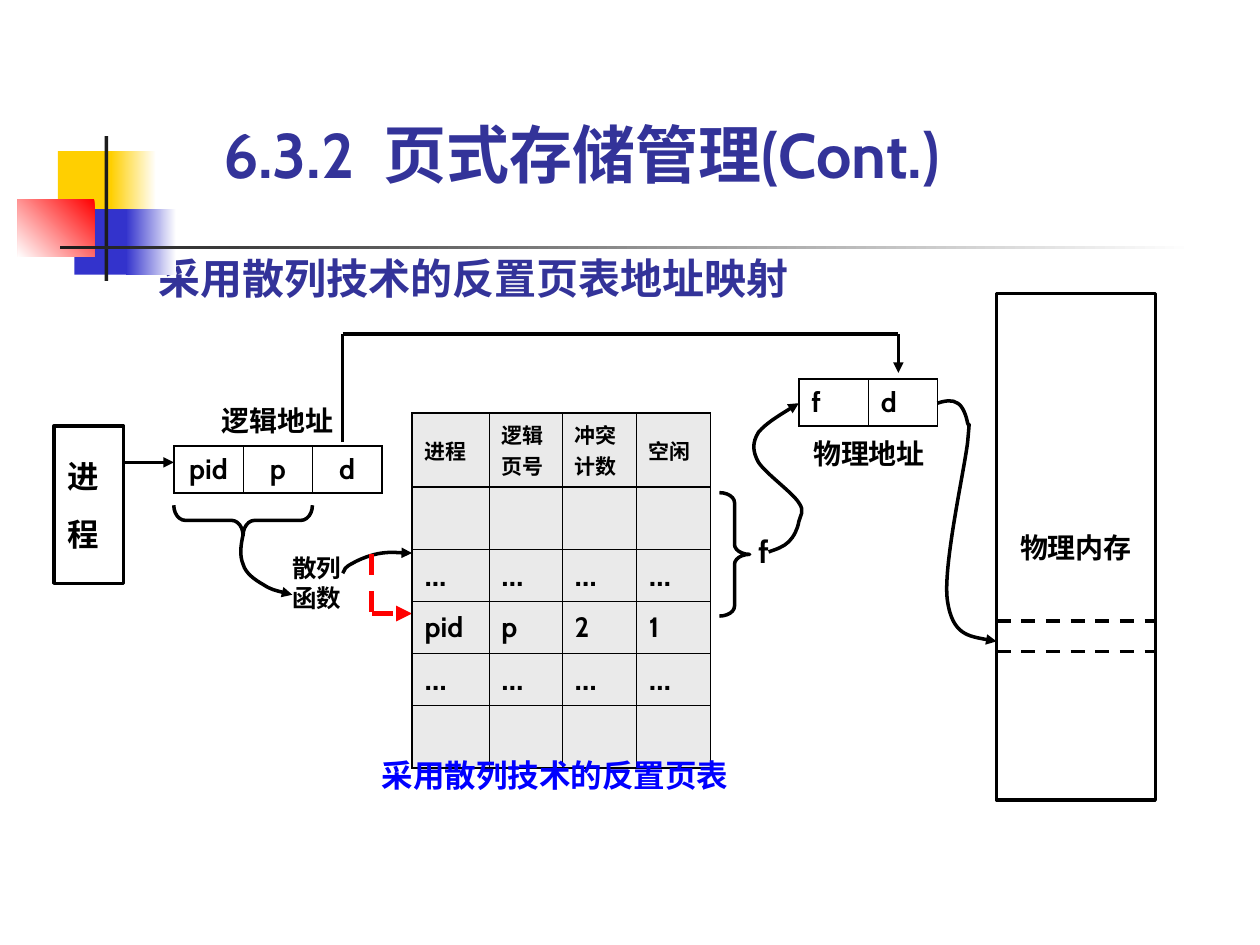
from lxml import etree
from pptx import Presentation
from pptx import util as u
from pptx.dml.color import RGBColor
from pptx.enum import dml, shapes, text
from pptx.oxml.ns import qn

FONT = "Cabin"
BLACK, NAVY, WHITE = "000000", "333399", "FFFFFF"
THICK, THIN = 1.08, 0.45
PADDED = (0.1, 0.05, 0.1, 0.05)
LEFT, CENTER, RIGHT = text.PP_ALIGN.LEFT, text.PP_ALIGN.CENTER, text.PP_ALIGN.RIGHT
TOP, MIDDLE, BOTTOM = text.MSO_ANCHOR.TOP, text.MSO_ANCHOR.MIDDLE, text.MSO_ANCHOR.BOTTOM
NO_STYLE = "{2D5ABB26-0587-4C30-8999-92F81FD0307C}"


def color(hex_value):
    """Turn a hex string into a colour."""
    return RGBColor.from_string(hex_value)


def inches(*values):
    """Turn numbers into lengths."""
    return [u.Inches(value) for value in values]


def write(frame, words, size=16, fill=BLACK, align=LEFT, before=0, spacing=None,
          anchor=TOP, insets=(0, 0, 0, 0), wrap=True):
    """Write one paragraph for each line of words."""
    frame.text = words
    frame.word_wrap = wrap
    frame.auto_size = text.MSO_AUTO_SIZE.NONE
    frame.vertical_anchor = anchor
    (frame.margin_left, frame.margin_top,
     frame.margin_right, frame.margin_bottom) = inches(*insets)
    for paragraph in frame.paragraphs:
        paragraph.alignment = align
        paragraph.space_before = u.Pt(before)
        if spacing:
            paragraph.line_spacing = spacing
        font = paragraph.runs[0].font
        font.name, font.size, font.bold = FONT, u.Pt(size), True
        font.color.rgb = color(fill)


def label(slide, box, words, **style):
    """Add a text box."""
    write(slide.shapes.add_textbox(*inches(*box)).text_frame, words, **style)


def stroke(shape, ink=BLACK, width=2, dashed=False, arrow=False):
    """Format an outline or a line."""
    shape.line.color.rgb = color(ink)
    shape.line.width = u.Pt(width)
    if dashed:
        shape.line.dash_style = dml.MSO_LINE.DASH
    if arrow:
        outline = shape.element.spPr.find(qn("a:ln"))
        etree.SubElement(outline, qn("a:tailEnd"), type="triangle")


def line(slide, start, end, **style):
    """Add a straight line."""
    connector = slide.shapes.add_connector(
        shapes.MSO_CONNECTOR.STRAIGHT, *inches(*start, *end))
    stroke(connector, **style)
    etree.SubElement(connector.element.spPr, qn("a:effectLst"))


def curve(slide, x, y, points):
    """Add an arrow of cubic curves, with points measured from x, y."""
    start, *rest = [inches(x + dx, y + dy) for dx, dy in points]
    builder = slide.shapes.build_freeform(*start, scale=1.0)
    builder.add_line_segments(rest, close=False)
    arrow = builder.convert_to_shape()
    segments = list(arrow.element.iter(qn("a:lnTo")))
    for first in range(0, len(segments), 3):
        bend = etree.Element(qn("a:cubicBezTo"))
        segments[first].addprevious(bend)
        for segment in segments[first:first + 3]:
            bend.append(segment[0])
            segment.getparent().remove(segment)
    arrow.fill.background()
    arrow.shadow.inherit = False
    stroke(arrow, arrow=True)


def outline(slide, box, preset=shapes.MSO_SHAPE.RECTANGLE):
    """Add an unfilled black outline."""
    shape = slide.shapes.add_shape(preset, *inches(*box))
    shape.fill.background()
    shape.shadow.inherit = False
    stroke(shape)
    return shape


def brace(slide, box, preset, curl, rotation=0):
    """Add a curly brace."""
    shape = outline(slide, box, preset)
    shape.adjustments[0] = curl
    shape.rotation = rotation


def borders(cell, **widths):
    """Draw the given cell sides; the others stay bare."""
    properties = cell._tc.get_or_add_tcPr()
    for side in "LRTB":
        width = widths.get(side, 0)
        edge = etree.SubElement(properties, qn("a:ln" + side), w=str(u.Pt(width)))
        if width:
            ink = etree.SubElement(edge, qn("a:solidFill"))
            etree.SubElement(ink, qn("a:srgbClr"), val=BLACK)
        else:
            etree.SubElement(edge, qn("a:noFill"))


def plain_table(slide, x, y, columns, rows):
    """Add a table without a style."""
    frame = slide.shapes.add_table(
        len(rows), len(columns), *inches(x, y, sum(columns), sum(rows)))
    grid = frame.table
    grid.first_row = grid.horz_banding = False
    grid._tbl.tblPr.find(qn("a:tableStyleId")).text = NO_STYLE
    for column, width in zip(grid.columns, columns):
        column.width = u.Inches(width)
    for row, height in zip(grid.rows, rows):
        row.height = u.Inches(height)
    return grid


def ruled_row(grid, row, words, top, bottom, fill=None, **style):
    """Fill and rule one table row."""
    last = len(words) - 1
    for column, word in enumerate(words):
        cell = grid.cell(row, column)
        borders(cell, L=THIN if column else THICK, T=top, B=bottom,
                R=THIN if column < last else THICK)
        if fill:
            cell.fill.solid()
            cell.fill.fore_color.rgb = color(fill)
        else:
            cell.fill.background()
        if word:
            write_cell(cell, word, **style)


def write_cell(cell, word, **style):
    """Write a padded, vertically centred cell."""
    write(cell.text_frame, word, insets=PADDED, **style)
    cell.vertical_anchor = MIDDLE


def address(slide, x, y, rows, fields, field_row, caption, caption_align, field_align):
    """Add an address split into fields, with a caption row."""
    grid = plain_table(slide, x, y, [0.55] * len(fields), rows)
    caption_row = 1 - field_row
    ruled_row(grid, field_row, fields, THICK, THICK, align=field_align, before=4)
    for column in range(len(fields)):
        borders(grid.cell(caption_row, column),
                **{"B" if caption_row == 0 else "T": THICK})
    merged = grid.cell(caption_row, 0)
    merged.merge(grid.cell(caption_row, len(fields) - 1))
    write_cell(merged, caption, align=caption_align, before=4)


def ornament(slide, x, y):
    """Draw the coloured squares and rules beside the heading."""
    for dx, dy, width, height, start, end, angle in (
            (0.32, 0.12, 0.48, 0.52, "FFCF01", None, 0),
            (0.74, 0.12, 0.36, 0.52, WHITE, "FFCF01", 180),
            (0.45, 0.58, 0.46, 0.52, "3333CC", None, 0),
            (0.86, 0.58, 0.4, 0.52, WHITE, "3333CC", 180),
            (0, 0.5, 0.61, 0.46, "FF0000", WHITE, 225),
            (0.69, 0, 0.03, 1.15, "1C1C1C", None, 0),
            (0.34, 0.87, 9, 0.03, WHITE, "1C1C1C", 180)):
        block = outline(slide, (x + dx, y + dy, width, height))
        block.line.fill.background()
        if end:
            block.fill.gradient()
            block.fill.gradient_angle = angle
            for stop, shade in zip(block.fill.gradient_stops, (start, end)):
                stop.color.rgb = color(shade)
        else:
            block.fill.solid()
            block.fill.fore_color.rgb = color(start)


def headings(slide, x, y):
    """Place the section heading and the slide title."""
    label(slide, (x + 0.51, y, 7.09, 0.6), "6.3.2  页式存储管理(Cont.)",
          size=36, fill=NAVY, anchor=BOTTOM)
    title = slide.shapes.title
    title.left, title.top, title.width, title.height = inches(x, y + 1.13, 5.32, 0.36)
    write(title.text_frame, "采用散列技术的反置页表地址映射",
          size=24, fill=NAVY, anchor=BOTTOM, spacing=0.9)


def process(slide, x, y):
    """Draw the process, its logical address and the hash function."""
    box = outline(slide, (x, y, 0.55, 1.25))
    write(box.text_frame, "进\n程", size=18, align=CENTER, before=11.2,
          insets=(0.1, 0.25, 0.18, 0.25))
    line(slide, (x + 0.55, y + 0.29), (x + 0.95, y + 0.29), arrow=True)
    address(slide, x + 0.95, y - 0.26, (0.42, 0.37), ("pid", "p", "d"), 1,
            "逻辑地址", CENTER, CENTER)
    brace(slide, (x + 1.38, y + 0.2, 0.24, 1.1), shapes.MSO_SHAPE.LEFT_BRACE, 0.38, 270)
    curve(slide, x + 1.5, y + 0.86, (
        (0, 0), (-0.02, 0.09), (-0.03, 0.17), (0, 0.24), (0.02, 0.31),
        (0.09, 0.36), (0.16, 0.4), (0.22, 0.44), (0.31, 0.46), (0.39, 0.48)))
    label(slide, (x + 1.89, y + 1.01, 0.47, 0.47), "散列函数", size=14, before=8.8)
    curve(slide, x + 2.29, y + 1.17, (
        (0, 0), (0.01, -0.03), (0.02, -0.05), (0.08, -0.08), (0.13, -0.11),
        (0.23, -0.15), (0.31, -0.16), (0.39, -0.17), (0.47, -0.16), (0.55, -0.16)))
    retry = dict(ink="FF0000", width=3, dashed=True)
    line(slide, (x + 2.52, y + 1.02), (x + 2.52, y + 1.49), **retry)
    line(slide, (x + 2.52, y + 1.49), (x + 2.84, y + 1.49), arrow=True, **retry)


def page_table(slide, x, y):
    """Draw the inverted page table and the frame number it yields."""
    gaps = ("…",) * 4
    entries = (
        (("进程", "逻辑页号", "冲突计数", "空闲"), 0.57, 12),
        (("",) * 4, 0.5, 18),
        (("...",) + gaps[1:], 0.4, 18),
        (("pid", "p", "2", "1"), 0.42, 16),
        (gaps, 0.4, 18),
        (("",) * 4, 0.5, 18))
    grid = plain_table(slide, x, y, (0.61, 0.58, 0.59, 0.59),
                       [height for _, height, _ in entries])
    for row, (words, _, size) in enumerate(entries):
        ruled_row(grid, row, words, THICK if row < 2 else THIN,
                  THICK if row in (0, len(entries) - 1) else THIN,
                  fill="EAEAEA", size=size, before=size / 4)
    label(slide, (x - 0.4, y + 2.67, 3.07, 0.4), "采用散列技术的反置页表", size=18,
          fill="0000FF", align=CENTER, before=11.2, insets=PADDED)
    brace(slide, (x + 2.44, y + 0.63, 0.24, 0.98), shapes.MSO_SHAPE.RIGHT_BRACE, 0.33)
    label(slide, (x + 2.67, y + 0.94, 0.24, 0.3), "f", size=18, align=CENTER, before=11.2)
    curve(slide, x + 2.83, y + 1.1, (
        (0, 0), (0.06, -0.02), (0.12, -0.04), (0.16, -0.08), (0.2, -0.12),
        (0.23, -0.18), (0.24, -0.24), (0.25, -0.29), (0.29, -0.32), (0.24, -0.39),
        (0.19, -0.47), (-0.02, -0.62), (-0.08, -0.71), (-0.13, -0.8), (-0.13, -0.87),
        (-0.08, -0.95), (-0.02, -1.02), (0.11, -1.1), (0.24, -1.18)))


def physical_address(slide, x, y):
    """Draw the physical address and the offset carried over to it."""
    address(slide, x, y, (0.37, 0.37), ("f", "d"), 0, "物理地址", RIGHT, LEFT)
    route = ((-3.62, 0.5), (-3.62, -0.36), (0.79, -0.36), (0.79, -0.05))
    corners = [(x + dx, y + dy) for dx, dy in route]
    for leg, (start, end) in enumerate(zip(corners, corners[1:])):
        line(slide, start, end, arrow=leg == 2)


def memory(slide, x, y, width, height):
    """Draw physical memory and the frame addressed in it."""
    block = outline(slide, (x, y, width, height))
    write(block.text_frame, "物理内存", align=CENTER, anchor=MIDDLE,
          insets=PADDED, wrap=False)
    curve(slide, x - 0.47, y + 0.87, (
        (0, 0), (0.06, -0.02), (0.12, -0.03), (0.16, 0), (0.2, 0.02), (0.23, 0.1),
        (0.24, 0.16), (0.25, 0.21), (0.26, 0.08), (0.24, 0.31), (0.21, 0.55),
        (0.04, 1.31), (0.08, 1.57), (0.12, 1.84), (0.3, 1.86), (0.47, 1.89)))
    for edge in (y + 2.6, y + 2.84):
        line(slide, (x, edge), (x + width, edge), dashed=True)


def main():
    """Build and save the slide."""
    deck = Presentation()
    deck.slide_width, deck.slide_height = inches(10, 7.5)
    slide = deck.slides.add_slide(deck.slide_layouts[5])
    ornament(slide, 0.14, 1.08)
    headings(slide, 1.26, 0.92)
    process(slide, 0.43, 3.38)
    page_table(slide, 3.27, 3.28)
    physical_address(slide, 6.34, 3.01)
    memory(slide, 7.91, 2.33, 1.26, 4.02)
    deck.save("out.pptx")


if __name__ == "__main__":
    main()
